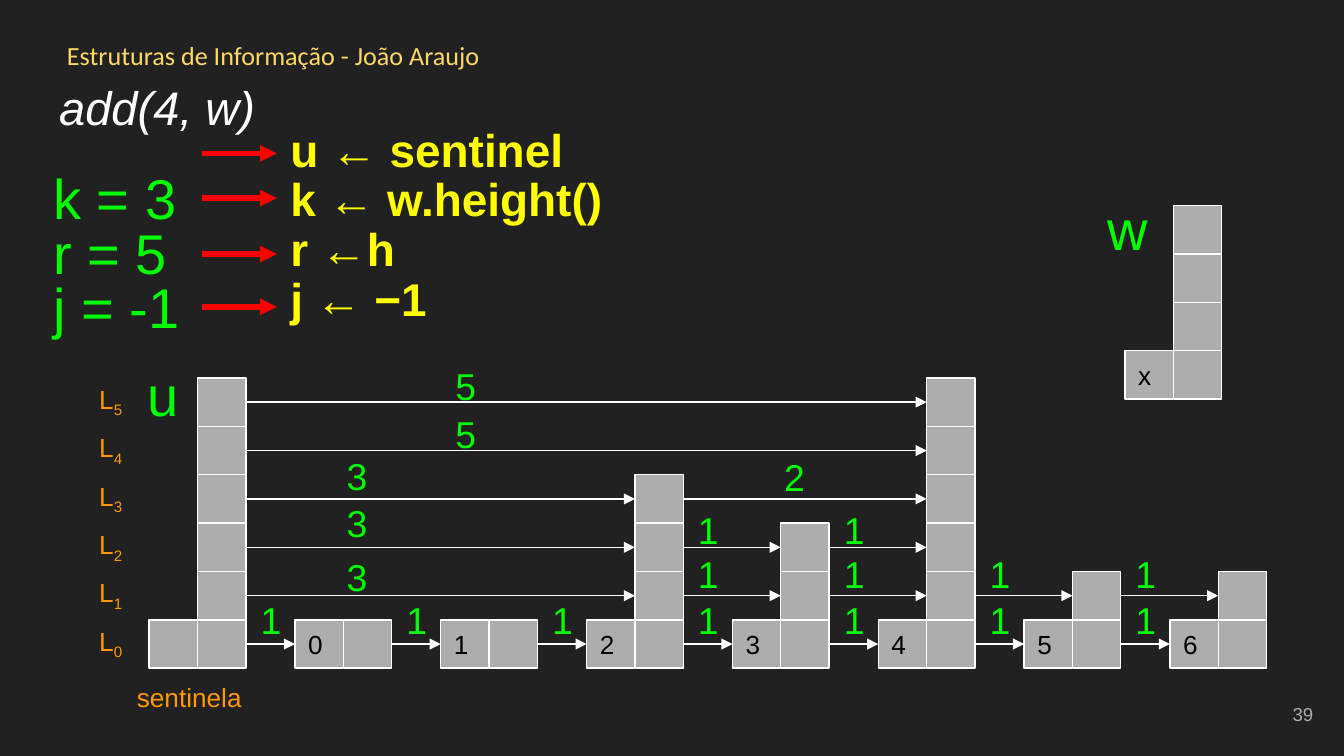
import lxml.etree
import pptx
import pptx.dml.color
import pptx.enum.shapes
import pptx.enum.text
import pptx.oxml.ns
import pptx.util
from dataclasses import dataclass

qn = pptx.oxml.ns.qn
RGB = pptx.dml.color.RGBColor.from_string
TOP = pptx.enum.text.MSO_ANCHOR.TOP
MIDDLE = pptx.enum.text.MSO_ANCHOR.MIDDLE


@dataclass(frozen=True)
class Theme:
    background: str = "212121"
    cell: str = "ADADAD"
    line: str = "FFFFFF"
    pointer: str = "FF0000"
    thin: float = 0.75
    thick: float = 3
    # Text styles: font, size, colour, bold, italic
    header: tuple = ("Calibri", 14, "FFD966", False, False)
    title: tuple = ("Arial", 25.2, "FFFFFF", False, True)
    code: tuple = ("Arial", 24.6, "FFFF00", True, False)
    variable: tuple = ("Arial", 30, "00FF00", False, False)
    distance: tuple = ("Arial", 20, "00FF00", False, False)
    level: tuple = ("Arial", 14, "FF9900", False, False)
    key: tuple = ("Arial", 14, "000000", False, False)
    page: tuple = ("Arial", 10, "ADADAD", False, False)


theme = Theme()
deck = pptx.Presentation()
deck.slide_width = pptx.util.Inches(10)
deck.slide_height = deck.slide_width * 9 // 16
X = deck.slide_width / 100   # one percent of the width
Y = deck.slide_height / 100  # one percent of the height
CELL = 3.6 * X
slide = deck.slides.add_slide(deck.slide_layouts[1])
slide.background.fill.solid()
slide.background.fill.fore_color.rgb = RGB(theme.background)


def write(frame, words, style, anchor=TOP):
    """Fill a text frame, one paragraph per line, in a single style."""
    frame.text = words
    frame.word_wrap = True
    frame.vertical_anchor = anchor
    frame.margin_left = frame.margin_right = pptx.util.Inches(0.1)
    frame.margin_top = frame.margin_bottom = pptx.util.Inches(0.1)
    for paragraph in frame.paragraphs:
        paragraph.alignment = pptx.enum.text.PP_ALIGN.LEFT
        font = paragraph.font
        font.name, size, colour, font.bold, font.italic = style
        font.size = pptx.util.Pt(size)
        font.color.rgb = RGB(colour)


def arrow(start_x, start_y, end_x, end_y, colour, width):
    connector = slide.shapes.add_connector(
        pptx.enum.shapes.MSO_CONNECTOR.STRAIGHT,
        int(start_x), int(start_y), int(end_x), int(end_y))
    connector.line.color.rgb = RGB(colour)
    connector.line.width = pptx.util.Pt(width)
    properties = connector.element.spPr
    lxml.etree.SubElement(properties.find(qn("a:ln")), qn("a:tailEnd"), type="triangle")
    lxml.etree.SubElement(properties, qn("a:effectLst"))
    return connector


# Title and pseudocode
title, code = slide.placeholders
for part, (left, top, width, height) in ((title, (3.4, 8.6, 93.2, 11.2)),
                                         (code, (20.6, 15.1, 33, 30))):
    part.left, part.top = int(left * X), int(top * Y)
    part.width, part.height = int(width * X), int(height * Y)
write(title.text_frame, "add(4, w)", theme.title)
write(code.text_frame, "u ← sentinel\nk ← w.height()\nr ←h\nj ← −1", theme.code)
for step in code.text_frame.paragraphs:
    step.line_spacing = 0.9
    step.space_before = pptx.util.Pt(0)
    layout = step._p.get_or_add_pPr()
    layout.set("marL", "0")
    layout.set("indent", "0")
    layout.find(qn("a:defRPr")).addprevious(lxml.etree.Element(qn("a:buNone")))
for step_y in (20.3, 26.2, 33.6, 40.6):
    arrow(15 * X, step_y * Y, 20.6 * X, step_y * Y, theme.pointer, theme.thick)

# Towers of the skip list, then the new node w: key, height, left, base
nodes = (("", 6), ("0", 1), ("1", 1), ("2", 4), ("3", 3), ("4", 6), ("5", 2), ("6", 2))
towers = [(key, height, (14.7 + 10.85 * place) * X, 82 * Y)
          for place, (key, height) in enumerate(nodes)]
towers.append(("x", 4, 87.3 * X, 46.4 * Y))
cells = {}
for place, (key, height, left, base) in enumerate(towers):
    spots = [("key", left - CELL, base)]
    spots += [(level, left, base - level * CELL) for level in range(height)]
    for part, cell_x, cell_y in spots:
        cell = slide.shapes.add_shape(pptx.enum.shapes.MSO_SHAPE.RECTANGLE,
                                      int(cell_x), int(cell_y), int(CELL), int(CELL))
        cell.shadow.inherit = False
        cell.fill.solid()
        cell.fill.fore_color.rgb = RGB(theme.cell)
        cell.line.color.rgb = RGB(theme.line)
        cell.line.width = pptx.util.Pt(theme.thin)
        if part == "key" and key:
            write(cell.text_frame, key, theme.key, MIDDLE)
        cells[place, part] = cell

# Labels: words, subscript, style, left, top, width, height
labels = [
    ("Estruturas de Informação - João Araujo", "", theme.header, 4 * X, 3.4 * Y, 81.7 * X, 7.8 * Y),
    ("sentinela", "", theme.level, 9.2 * X, 88.4 * Y, 11.4 * X, 7.8 * Y),
    ("u", "", theme.variable, 10 * X, 45.9 * Y, 4.6 * X, 12.6 * Y),
    ("w", "", theme.variable, 81.4 * X, 24 * Y, 4.6 * X, 12.6 * Y),
]
for line, value in enumerate(("k = 3", "r = 5", "j = -1")):
    labels.append((value, "", theme.variable, 3 * X, (19.9 + 7.2 * line) * Y, 11.4 * X, 12.6 * Y))

# Links of each level, labelled with the number of nodes they advance
label_shift = {1: 0.1, 2: 6.5, 3: 6.5, 5: 14.6}
label_lift = {(0, 1): 2.7, (1, 1): 2.5, (2, 1): 2.2, (1, 3): 2.3, (2, 3): 2.7,
              (3, 3): 2.6, (3, 2): 2.5, (4, 5): 2.1, (5, 5): 2.1}
for level in range(6):
    level_y = 82 * Y - level * CELL
    labels.append(("L", str(level), theme.level, 6.4 * X, level_y - 0.6 * X, 4.6 * X, 7.8 * Y))
    stops = [place for place, (_, height) in enumerate(nodes) if height > level]
    for start, end in zip(stops, stops[1:]):
        link = arrow(0, 0, X, Y, theme.line, theme.thin)
        link.begin_connect(cells[start, level], 3)
        link.end_connect(cells[end, level or "key"], 1)
        distance = end - start
        labels.append((str(distance), "", theme.distance,
                       towers[start][2] + CELL + label_shift[distance] * X,
                       level_y - label_lift[level, distance] * X, 5.2 * X, 9.6 * Y))

for words, subscript, style, *box in labels:
    label = slide.shapes.add_textbox(*map(int, box))
    write(label.text_frame, words, style)
    if subscript:
        index = label.text_frame.paragraphs[0].add_run()
        index.text = subscript
        index._r.get_or_add_rPr().set("baseline", "-25000")

page = slide.shapes.add_textbox(int(92.7 * X), int(90.7 * Y), int(6 * X), int(7.6 * Y))
write(page.text_frame, "39", theme.page, MIDDLE)
page.text_frame.paragraphs[0].alignment = pptx.enum.text.PP_ALIGN.RIGHT

deck.save("out.pptx")
